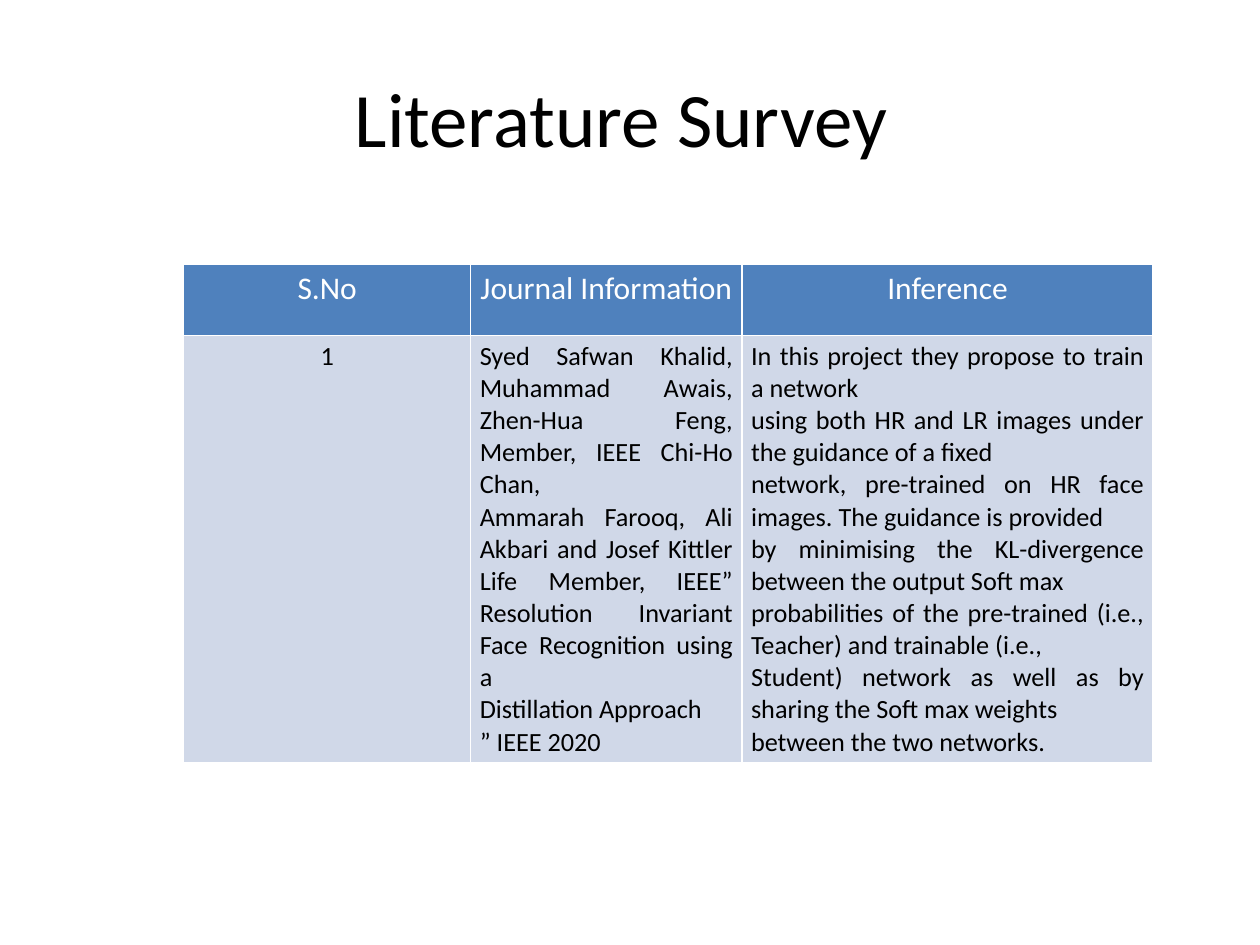
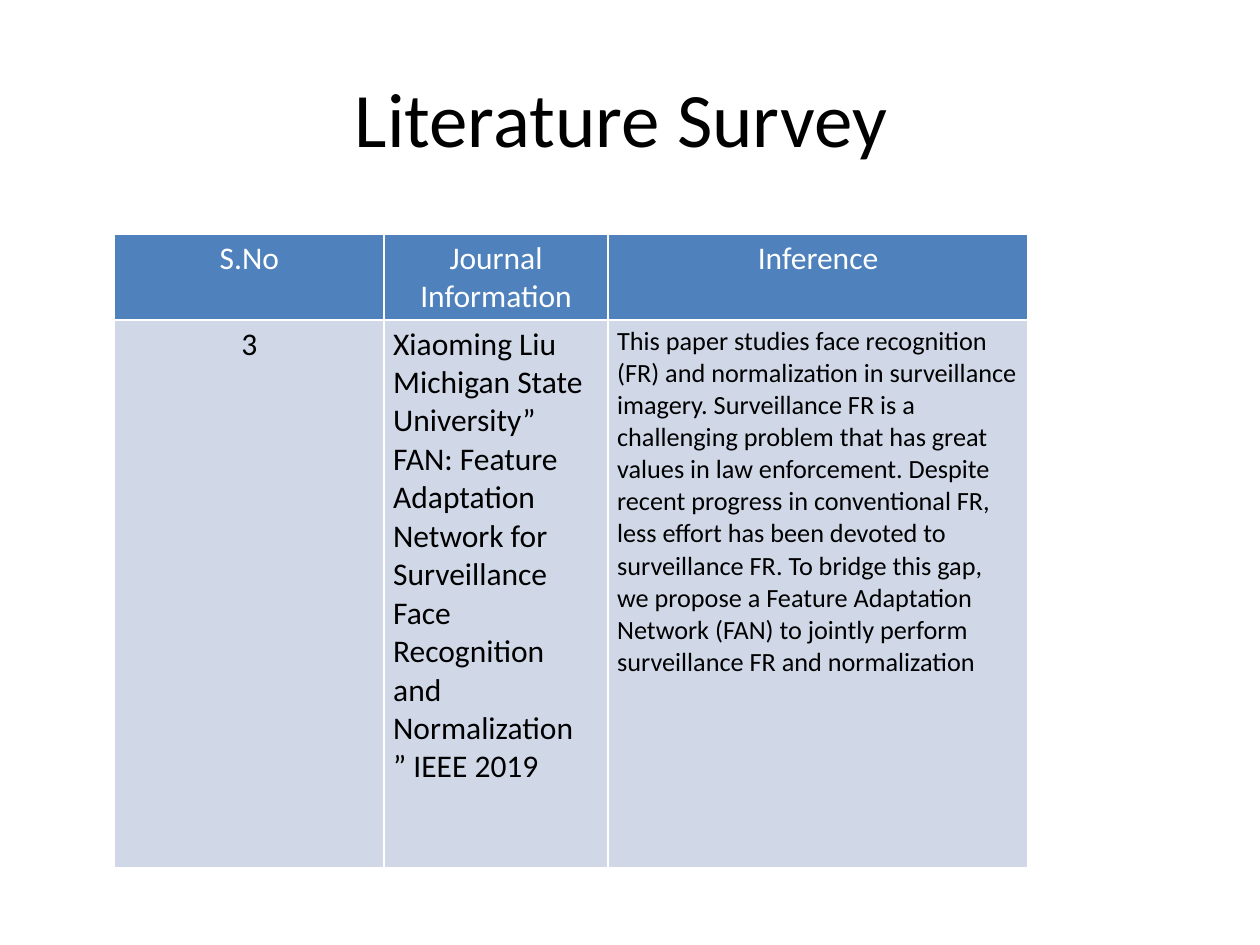
from dataclasses import dataclass
from lxml.etree import SubElement
from pptx import Presentation
from pptx.dml.color import RGBColor
from pptx.enum.text import MSO_ANCHOR, PP_ALIGN
from pptx.oxml.ns import qn
from pptx.util import Pt


@dataclass(frozen=True)
class Theme:
    font: str = "Calibri"
    white: str = "FFFFFF"
    black: str = "000000"
    blue: str = "4F81BD"
    pale: str = "D0D8E8"
    title: int = 44
    head: int = 18
    body: int = 15


THEME = Theme()
TITLE = (36, 21.6, 648, 90)
HEADS = ("S.No", "Journal Information", "Inference")
LEFT, MID, JUST = PP_ALIGN.LEFT, PP_ALIGN.CENTER, PP_ALIGN.JUSTIFY

KHALID = """Syed Safwan Khalid, Muhammad Awais, Zhen-Hua Feng, Member, IEEE Chi-Ho Chan,
Ammarah Farooq, Ali Akbari and Josef Kittler Life Member, IEEE” Resolution Invariant Face Recognition using a
Distillation Approach
” IEEE 2020"""
GUIDE = """In this project they propose to train a network
using both HR and LR images under the guidance of a fixed
network, pre-trained on HR face images. The guidance is provided
by minimising the KL-divergence between the output Soft max
probabilities of the pre-trained (i.e., Teacher) and trainable (i.e.,
Student) network as well as by sharing the Soft max weights
between the two networks."""
LIU = """Xiaoming Liu
Michigan State University” FAN: Feature Adaptation Network for Surveillance Face Recognition and Normalization
” IEEE 2019"""
ADAPT = (
    "This paper studies face recognition (FR) and normalization in surveillance imagery. "
    "Surveillance FR is a challenging problem that has great values in law enforcement. "
    "Despite recent progress in conventional FR, less effort has been devoted to surveillance FR. "
    "To bridge this gap, we propose a Feature Adaptation Network (FAN) "
    "to jointly perform surveillance FR and normalization"
)


def write(frame, text, size=THEME.body, color=THEME.black, align=LEFT):
    frame.word_wrap = True
    for num, line in enumerate(text.split("\n")):
        para = frame.add_paragraph() if num else frame.paragraphs[0]
        para.alignment = align
        run = para.add_run()
        run.text = line
        font = run.font
        font.name, font.size, font.bold = THEME.font, Pt(size), False
        font.color.rgb = RGBColor.from_string(color)


def add_title(slide, box, text):
    frame = slide.shapes.add_textbox(*map(Pt, box)).text_frame
    frame.vertical_anchor = MSO_ANCHOR.MIDDLE
    write(frame, text, size=THEME.title, align=MID)


def style(cell, fill):
    props = cell._tc.get_or_add_tcPr()
    for side in ("lnL", "lnR", "lnT", "lnB"):
        edge = SubElement(props, qn("a:" + side), w=str(Pt(1)))
        paint = SubElement(edge, qn("a:solidFill"))
        SubElement(paint, qn("a:srgbClr"), val=THEME.white)
    cell.fill.solid()
    cell.fill.fore_color.rgb = RGBColor.from_string(fill)
    cell.margin_left = cell.margin_right = Pt(5.2)
    cell.margin_top = cell.margin_bottom = Pt(2.8)


def add_grid(slide, spot, cols, rows, entry):
    box = (*spot, sum(cols), sum(rows))
    grid = slide.shapes.add_table(2, len(cols), *map(Pt, box)).table
    for row, high in zip(grid.rows, rows):
        row.height = Pt(high)
    for num, wide in enumerate(cols):
        grid.columns[num].width = Pt(wide)
        head, body = grid.cell(0, num), grid.cell(1, num)
        style(head, THEME.blue)
        write(head.text_frame, HEADS[num], size=THEME.head, color=THEME.white, align=MID)
        style(body, THEME.pale)
        text, size, align = entry[num]
        write(body.text_frame, text, size=size, align=align)


def add_survey(deck, **grid):
    slide = deck.slides.add_slide(deck.slide_layouts[6])
    add_title(slide, TITLE, "Literature Survey ")
    add_grid(slide, **grid)


def main():
    deck = Presentation()
    deck.slide_width, deck.slide_height = Pt(720), Pt(540)
    add_survey(
        deck, spot=(105, 151.2), cols=(164, 155, 235), rows=(40.5, 244),
        entry=(("1", THEME.body, MID), (KHALID, THEME.body, JUST), (GUIDE, THEME.body, JUST)),
    )
    add_survey(
        deck, spot=(65.5, 134), cols=(154, 128, 240), rows=(49, 313),
        entry=(("3", THEME.head, MID), (LIU, THEME.head, LEFT), (ADAPT, THEME.body, LEFT)),
    )
    deck.save("out.pptx")


if __name__ == "__main__":
    main()
